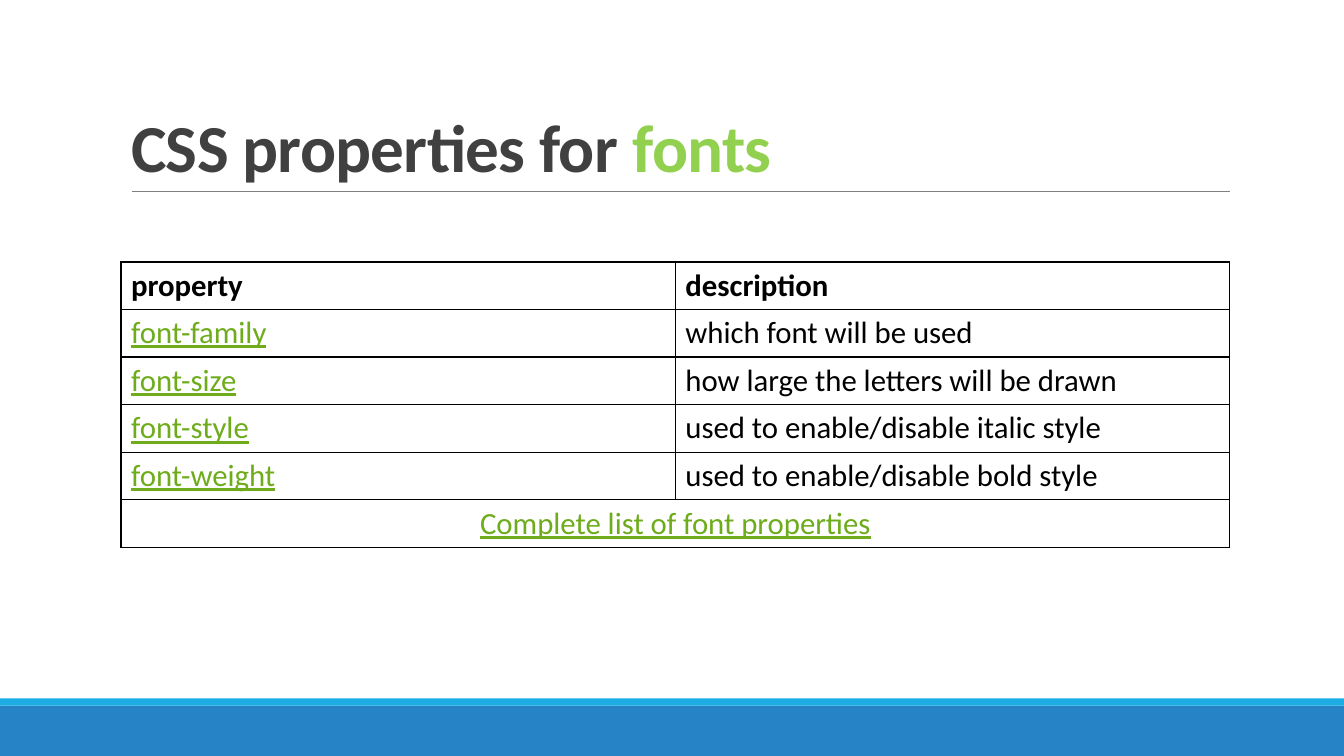
from lxml import etree
from pptx import Presentation
from pptx.dml.color import RGBColor
from pptx.enum.shapes import MSO_CONNECTOR, MSO_SHAPE
from pptx.enum.text import MSO_ANCHOR, MSO_AUTO_SIZE, PP_ALIGN
from pptx.oxml import parse_xml
from pptx.oxml.ns import nsdecls, qn
from pptx.util import Cm, Pt

STRAIGHT = MSO_CONNECTOR.STRAIGHT
RECTANGLE = MSO_SHAPE.RECTANGLE
MIDDLE, BOTTOM = MSO_ANCHOR.MIDDLE, MSO_ANCHOR.BOTTOM
NO_AUTOFIT = MSO_AUTO_SIZE.NONE
LEFT, CENTER = PP_ALIGN.LEFT, PP_ALIGN.CENTER

BLACK, LINK_GREEN = "000000", "6EAC1C"


def color(hex_value):
    return RGBColor.from_string(hex_value)


def add_run(paragraph, text, size, hex_value, bold=False, underline=False):
    run = paragraph.add_run()
    run.text = text
    run.font.name = "Calibri"
    run.font.size = Pt(size)
    run.font.bold = bold
    run.font.underline = underline
    run.font.color.rgb = color(hex_value)
    return run


presentation = Presentation()
presentation.slide_width = Cm(33.87)
presentation.slide_height = Cm(19.05)
slide = presentation.slides.add_slide(presentation.slide_layouts[5])

# Footer bands
for top, height, fill in [(17.78, 1.27, "2683C6"), (17.6, 0.18, "1CADE4")]:
    band = slide.shapes.add_shape(RECTANGLE, 0, Cm(top), presentation.slide_width, Cm(height))
    band.shadow.inherit = False
    band.fill.solid()
    band.fill.fore_color.rgb = color(fill)
    band.line.fill.background()

# Title and its rule
rule = slide.shapes.add_connector(STRAIGHT, Cm(3.32), Cm(4.82), Cm(31), Cm(4.82))
rule.line.color.rgb = color("808080")
rule.line.width = Pt(0.5)
etree.SubElement(rule._element.spPr, qn("a:effectLst"))

title = slide.shapes.title
title.left, title.top, title.width, title.height = Cm(3.05), Cm(0.79), Cm(27.94), Cm(4.04)
title.text_frame.word_wrap = True
title.text_frame.auto_size = NO_AUTOFIT
title.text_frame.vertical_anchor = BOTTOM
heading = title.text_frame.paragraphs[0]
heading.alignment = LEFT
heading.line_spacing = 0.85
for text, hex_value in [("CSS properties for ", "404040"), ("fonts", "92D050")]:
    run = add_run(heading, text, 48, hex_value, bold=True)
    run.font._element.set("spc", "-50")

# Property table
rows = [
    ("property", "description"),
    ("font-family", "which font will be used"),
    ("font-size", "how large the letters will be drawn"),
    ("font-style", "used to enable/disable italic style"),
    ("font-weight", "used to enable/disable bold style"),
    ("Complete list of font properties", ""),
]
last_row = len(rows) - 1
table = slide.shapes.add_table(
    len(rows), 2, Cm(3.05), Cm(6.6), Cm(27.94), Cm(1.2 * len(rows))
).table
table.horz_banding = False
table.cell(last_row, 0).merge(table.cell(last_row, 1))

for row_index, row in enumerate(rows):
    for column_index, text in enumerate(row):
        cell = table.cell(row_index, column_index)
        cell.vertical_anchor = MIDDLE
        cell.fill.background()
        cell_properties = cell._tc.get_or_add_tcPr()
        for position, side in enumerate(("lnL", "lnR", "lnT", "lnB")):
            border = parse_xml(
                f'<a:{side} {nsdecls("a")} w="12700"><a:solidFill>'
                f'<a:srgbClr val="{BLACK}"/></a:solidFill></a:{side}>'
            )
            cell_properties.insert(position, border)
        if not text:
            continue
        paragraph = cell.text_frame.paragraphs[0]
        paragraph.alignment = CENTER if row_index == last_row else LEFT
        is_header = row_index == 0
        is_link = column_index == 0 and not is_header
        add_run(paragraph, text, 22, LINK_GREEN if is_link else BLACK, is_header, is_link)

presentation.save("out.pptx")
